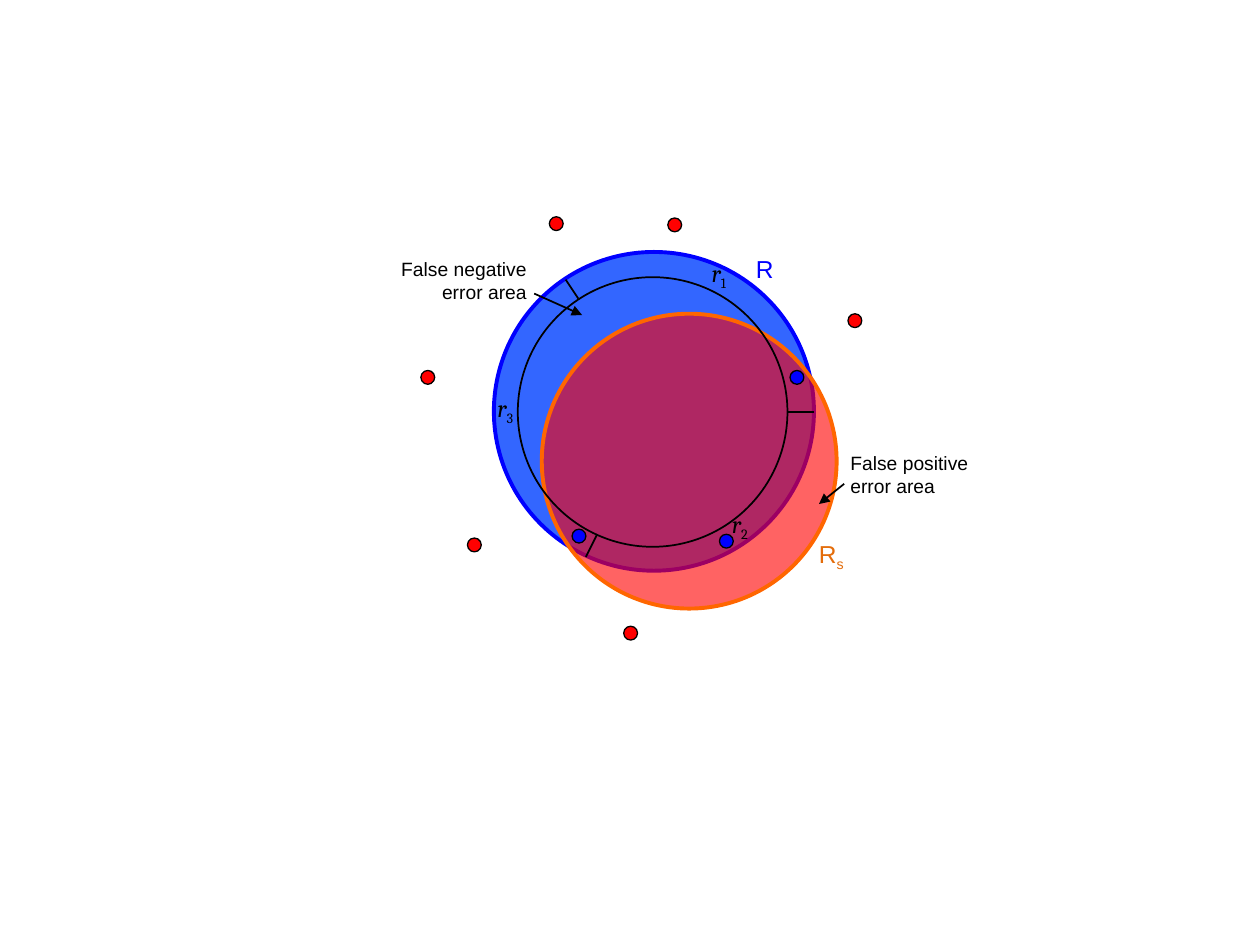
from lxml.etree import SubElement
from pptx import Presentation
from pptx.dml.color import RGBColor
from pptx.enum.shapes import MSO_CONNECTOR as Connector, MSO_SHAPE as Shape
from pptx.enum.text import MSO_AUTO_SIZE as AutoSize, PP_ALIGN as Align
from pptx.oxml.ns import qn
from pptx.util import Inches, Pt

COLORS = {
    "black": "000000", "blue": "0000FF", "azure": "3366FF",
    "red": "FF0000", "orange": "FF6600", "rust": "E46C0A",
}
# The slide is a grid of 100 columns and 75 rows
COLUMNS, ROWS = 100, 75
CELL = Inches(0.1)
DOT = 1.1

TRUE_POINTS = [(62.7, 29.4), (45.4, 42), (57.1, 42.4)]
OUTSIDE_POINTS = [(33.4, 29.4), (53, 17.3), (43.6, 17.2),
                  (37.1, 42.7), (67.3, 24.9), (49.5, 49.7)]
SECTOR_TICKS = [((64.6, 32.7), (62.5, 32.7)),
                ((45.9, 23.7), (44.9, 22.2)),
                ((47.4, 42.4), (46.5, 44.2))]
SECTOR_LABELS = [("1", 55.5, 20), ("2", 57.1, 39.9), ("3", 38.5, 30.7)]
POINTERS = [((67, 38.4), (65, 40)), ((42.4, 23.3), (46.2, 25))]


def grid(*cells):
    return [round(cell * CELL) for cell in cells]


def rgb(name):
    return RGBColor.from_string(COLORS[name])


def add_ellipse(page, left, top, width, height, line, weight,
                fill=None, opacity=None):
    ellipse = page.shapes.add_shape(Shape.OVAL, *grid(left, top, width, height))
    ellipse.shadow.inherit = False
    ellipse.line.color.rgb = rgb(line)
    ellipse.line.width = Pt(weight)
    if fill is None:
        ellipse.fill.background()
        return
    ellipse.fill.solid()
    ellipse.fill.fore_color.rgb = rgb(fill)
    if opacity is not None:
        color = ellipse._element.spPr.find(qn("a:solidFill"))[0]
        SubElement(color, qn("a:alpha")).set("val", str(opacity * 1000))


def add_dots(page, points, fill):
    for left, top in points:
        add_ellipse(page, left, top, DOT, DOT, "black", 0.75, fill)


def add_line(page, start, end, arrow=False):
    line = page.shapes.add_connector(Connector.STRAIGHT, *grid(*start, *end))
    line.line.color.rgb = rgb("black")
    line.line.width = Pt(1)
    if arrow:
        outline = line.line._get_or_add_ln()
        SubElement(outline, qn("a:tailEnd")).set("type", "triangle")
    SubElement(line._element.spPr, qn("a:effectLst"))


def add_text_box(page, left, top, width, height):
    box = page.shapes.add_textbox(*grid(left, top, width, height))
    box.text_frame.word_wrap = False
    box.text_frame.auto_size = AutoSize.SHAPE_TO_FIT_TEXT
    return box.text_frame


def format_run(run, size, font, color):
    run.font.size = Pt(size)
    run.font.name = font
    run.font.color.rgb = rgb(color)


def add_symbol(page, letter, subscript, left, top, width, font, color,
               italic=False):
    para = add_text_box(page, left, top, width, 3.4).paragraphs[0]
    para.text = letter
    para.runs[0].font.italic = italic
    if subscript:
        span = para.add_run()
        span.text = subscript
        span._r.get_or_add_rPr().set("baseline", "-25000")
    for span in para.runs:
        format_run(span, 14, font, color)


def add_caption(page, text, left, top, width, align):
    frame = add_text_box(page, left, top, width, 4.7)
    frame.text = text
    for para in frame.paragraphs:
        para.alignment = align
        for span in para.runs:
            format_run(span, 11, "Arial", "black")


def main():
    deck = Presentation()
    deck.slide_width, deck.slide_height = COLUMNS * CELL, ROWS * CELL
    page = deck.slides.add_slide(deck.slide_layouts[6])

    # Regions and the inner ring
    add_ellipse(page, 39.2, 20, 25.4, 25.3, "blue", 2.25, "azure")
    add_ellipse(page, 43, 24.9, 23.4, 23.4, "orange", 2.25, "red", 61)
    add_ellipse(page, 41.1, 22, 21.4, 21.4, "black", 1)

    # Sectors of the ring
    for start, end in SECTOR_TICKS:
        add_line(page, start, end)
    for number, left, top in SECTOR_LABELS:
        add_symbol(page, "r", number, left, top, 3.6, "Cambria", "black", True)

    # Region names
    add_symbol(page, "R", "", 59, 19.7, 3.4, "Arial", "blue")
    add_symbol(page, "R", "s", 64, 42.3, 4.1, "Arial", "rust")

    # Points
    add_dots(page, TRUE_POINTS, "blue")
    add_dots(page, OUTSIDE_POINTS, "red")

    # Error areas
    add_caption(page, "False positive \nerror area", 66.5, 35.3, 11.5, Align.LEFT)
    add_caption(page, "False negative\nerror area", 30.7, 19.9, 12.1, Align.RIGHT)
    for start, end in POINTERS:
        add_line(page, start, end, arrow=True)

    deck.save("out.pptx")


main()
